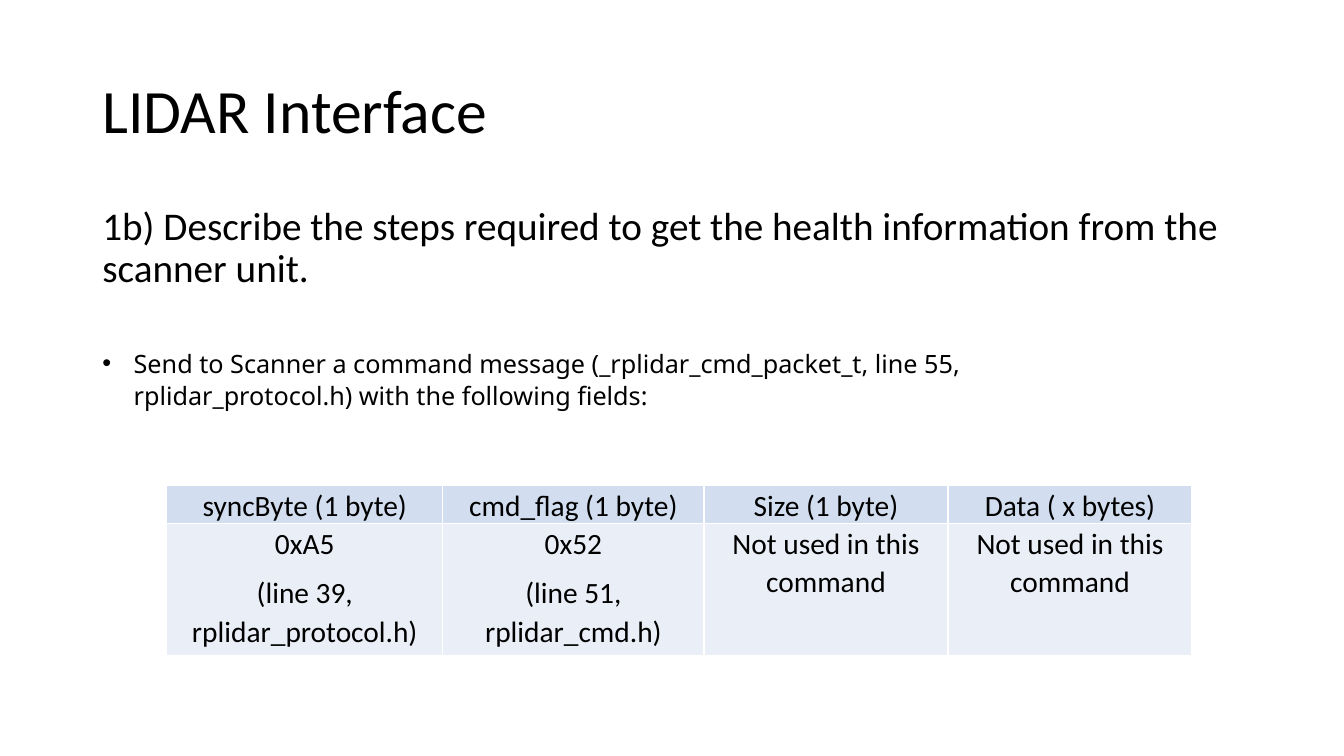
import pptx
import pptx.util
import pptx.dml.color
import pptx.enum.text
import pptx.oxml
import pptx.oxml.ns
from pptx.util import Cm

BLACK = pptx.dml.color.RGBColor(0x00, 0x00, 0x00)
HEAD = pptx.dml.color.RGBColor(0xD2, 0xDE, 0xEF)
BODY = pptx.dml.color.RGBColor(0xEA, 0xEF, 0xF7)
WHITE = pptx.dml.color.RGBColor(0xFF, 0xFF, 0xFF)

ALIGN = pptx.enum.text.PP_ALIGN
ANCHOR = pptx.enum.text.MSO_ANCHOR
SIZE = pptx.enum.text.MSO_AUTO_SIZE

FIELDS = [
    ("syncByte (1 byte)", ["0xA5", "(line 39, rplidar_protocol.h)"]),
    ("cmd_flag (1 byte)", ["0x52", "(line 51, rplidar_cmd.h)"]),
    ("Size (1 byte)", ["Not used in this command"]),
    ("Data ( x bytes)", ["Not used in this command"]),
]
WIDTHS = [6.96, 6.58, 6.15, 6.15]
ROWS = [0.92, 3.33]


def add_xml(node, text):
    """Append an element of the drawing namespace."""
    space = pptx.oxml.ns.nsdecls("a")
    node.append(pptx.oxml.parse_xml(text.replace(" ", f" {space} ", 1)))


def write(frame, lines, size, font="Calibri", align=ALIGN.LEFT,
          line=0.9, after=0, bullet=False):
    """Fill a text frame with one paragraph per line."""
    frame.word_wrap = True
    for i, text in enumerate(lines):
        para = frame.add_paragraph() if i else frame.paragraphs[0]
        para.alignment = align
        para.line_spacing = line
        para.space_before = pptx.util.Pt(0)
        para.space_after = pptx.util.Pt(after)
        if bullet:
            props = para._p.get_or_add_pPr()
            props.set("marL", str(Cm(0.79)))
            props.set("indent", str(-Cm(0.79)))
            add_xml(props, '<a:buFont typeface="Arial"/>')
            add_xml(props, '<a:buChar char="•"/>')
        run = para.add_run()
        run.text = text
        run.font.size = pptx.util.Pt(size)
        run.font.name = font
        run.font.color.rgb = BLACK


def add_title(slide, text):
    title = slide.shapes.title
    title.left, title.top = Cm(2.33), Cm(1.01)
    title.width, title.height = Cm(29.21), Cm(3.68)
    title.text_frame.auto_size = SIZE.NONE
    title.text_frame.vertical_anchor = ANCHOR.MIDDLE
    write(title.text_frame, [text], 44)


def add_text(slide, text, top, width, height, size, **style):
    box = slide.shapes.add_textbox(Cm(2.33), Cm(top), Cm(width), Cm(height))
    write(box.text_frame, [text], size, **style)


def fill_cell(cell, lines, color):
    cell.margin_left = cell.margin_right = Cm(0.32)
    cell.margin_top = cell.margin_bottom = 0
    props = cell._tc.get_or_add_tcPr()
    for side in ("lnL", "lnR", "lnT", "lnB"):
        add_xml(props, f'<a:{side} w="12700"><a:solidFill>'
                       f'<a:srgbClr val="{WHITE}"/></a:solidFill></a:{side}>')
    cell.fill.solid()
    cell.fill.fore_color.rgb = color
    write(cell.text_frame, lines, 21, align=ALIGN.CENTER, line=1.07, after=8)


def add_fields(slide):
    frame = slide.shapes.add_table(len(ROWS), len(FIELDS), Cm(4.2), Cm(12.24),
                                   Cm(sum(WIDTHS)), Cm(sum(ROWS)))
    table = frame.table
    table.first_row = table.horz_banding = False
    for row, height in zip(table.rows, ROWS):
        row.height = Cm(height)
    for i, (name, lines) in enumerate(FIELDS):
        table.columns[i].width = Cm(WIDTHS[i])
        fill_cell(table.cell(0, i), [name], HEAD)
        fill_cell(table.cell(1, i), lines, BODY)


def main():
    deck = pptx.Presentation()
    deck.slide_width, deck.slide_height = Cm(33.87), Cm(19.05)
    slide = deck.slides.add_slide(deck.slide_layouts[5])

    # Title and question
    add_title(slide, "LIDAR Interface")
    add_text(slide, "1b) Describe the steps required to get the health "
             "information from the scanner unit.", 5.08, 29.21, 2.62, 28)

    # Step and its message fields
    add_text(slide, "Send to Scanner a command message "
             "(_rplidar_cmd_packet_t, line 55, rplidar_protocol.h) "
             "with the following fields:", 8.59, 27.69, 1.9, 18,
             font="Noto Sans", line=1.07, bullet=True)
    add_fields(slide)
    deck.save("out.pptx")


if __name__ == "__main__":
    main()
